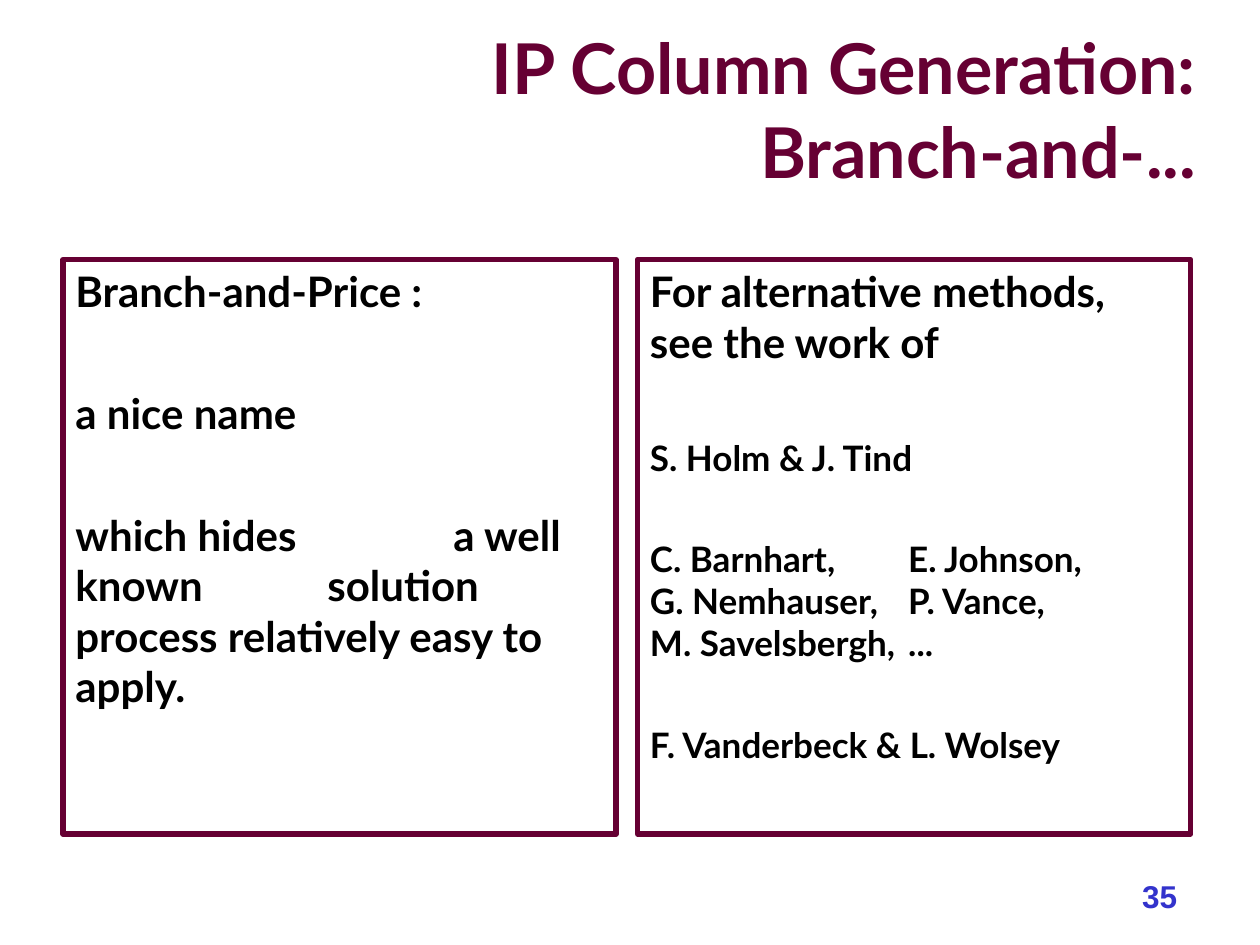
from dataclasses import dataclass

from lxml.etree import SubElement
from pptx import Presentation
from pptx.dml.color import RGBColor
from pptx.enum.shapes import MSO_SHAPE as Shape
from pptx.enum.text import MSO_ANCHOR as Anchor, PP_ALIGN as Align
from pptx.oxml.ns import qn
from pptx.slide import Slide
from pptx.util import Inches, Pt

COLORS = {"maroon": "660033", "black": "000000", "blue": "3333CC"}
PANEL_TABS = (1, 2, 3)
NAME_TABS = (2.05,)


def color(name):
    return RGBColor.from_string(COLORS[name])


def write(paragraph, text, size=24, font="Lato", ink="black",
          align=Align.LEFT, before=0, tabs=()):
    paragraph.text = text
    paragraph.alignment = align
    paragraph.space_before = Pt(before)
    if tabs:
        tab_list = SubElement(paragraph._p.get_or_add_pPr(), qn("a:tabLst"))
        for position in tabs:
            SubElement(tab_list, qn("a:tab"), pos=str(Inches(position)), algn="l")
    for run in paragraph.runs:
        run.font.name = font
        run.font.size = Pt(size)
        run.font.bold = True
        run.font.color.rgb = color(ink)


@dataclass
class SlideBuilder:
    slide: Slide
    accent: str = "maroon"
    border: float = 3

    def label(self, text, left, top, width, height, **style):
        box = self.slide.shapes.add_textbox(
            Inches(left), Inches(top), Inches(width), Inches(height))
        frame = box.text_frame
        frame.word_wrap = True
        frame.vertical_anchor = Anchor.BOTTOM
        write(frame.paragraphs[0], text, align=Align.RIGHT, **style)

    def panel(self, left, entries):
        shape = self.slide.shapes.add_shape(
            Shape.RECTANGLE, Inches(left), Inches(2.06), Inches(4.39), Inches(4.56))
        shape.shadow.inherit = False
        shape.fill.background()
        shape.line.color.rgb = color(self.accent)
        shape.line.width = Pt(self.border)
        frame = shape.text_frame
        frame.word_wrap = True
        frame.vertical_anchor = Anchor.TOP
        for index, (text, style) in enumerate(entries):
            paragraph = frame.add_paragraph() if index else frame.paragraphs[0]
            write(paragraph, text, **style)


def main():
    presentation = Presentation()
    presentation.slide_width = Inches(10)
    presentation.slide_height = Inches(7.5)
    builder = SlideBuilder(presentation.slides.add_slide(presentation.slide_layouts[6]))

    builder.label("IP Column Generation:\vBranch-and-...", 0.42, 0.25, 9.17, 1.33,
                  size=40, ink=builder.accent)
    builder.panel(0.5, [
        ("Branch-and-Price :", {}),
        ("a nice name", {"before": 40.8}),
        ("which hides \t\ta well known \tsolution process relatively easy to apply.",
         {"before": 40.8, "tabs": PANEL_TABS}),
    ])
    builder.panel(5.06, [
        ("For alternative methods, see the work of", {}),
        ("S. Holm & J. Tind", {"size": 20, "before": 39.8}),
        ("C. Barnhart,\tE. Johnson,\vG. Nemhauser,\tP. Vance,\vM. Savelsbergh,\t...",
         {"size": 20, "before": 34, "tabs": NAME_TABS}),
        ("F. Vanderbeck & L. Wolsey", {"size": 20, "before": 34}),
    ])
    builder.label("35", 5.83, 6.81, 3.61, 0.5, size=18, font="Arial", ink="blue")
    presentation.save("out.pptx")


if __name__ == "__main__":
    main()
